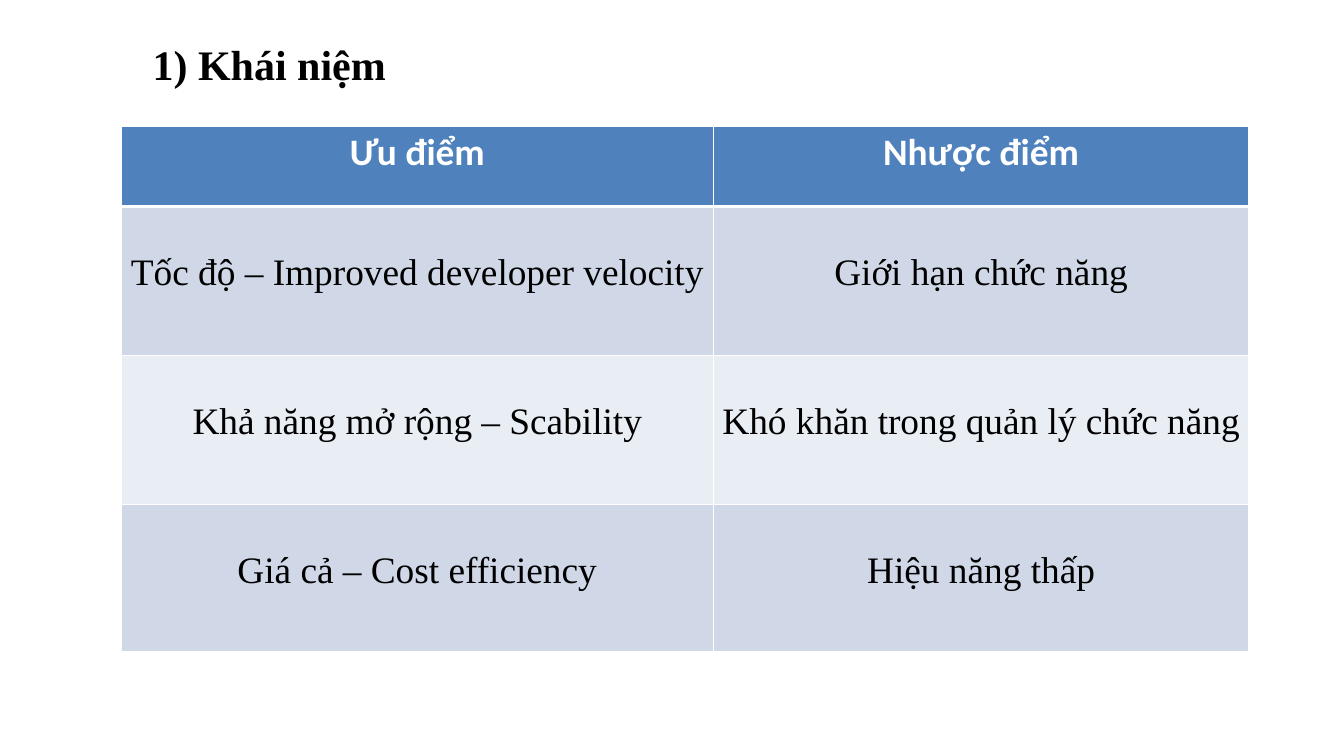
from lxml import etree
from pptx import Presentation
from pptx.dml.color import RGBColor
from pptx.enum.text import MSO_ANCHOR, PP_ALIGN
from pptx.oxml.ns import qn
from pptx.util import Inches, Pt

LEFT, CENTER = PP_ALIGN.LEFT, PP_ALIGN.CENTER
TOP = MSO_ANCHOR.TOP
TITLE_ONLY = 5

COLORS = {
    "header": "4F81BD",
    "odd": "D0D8E8",
    "even": "E9EDF4",
    "white": "FFFFFF",
    "black": "000000",
}
TITLE = "1) Khái niệm"
ROWS = [
    ("Ưu điểm", "Nhược điểm"),
    ("Tốc độ – Improved developer velocity", "Giới hạn chức năng"),
    ("Khả năng mở rộng – Scability", "Khó khăn trong quản lý chức năng"),
    ("Giá cả – Cost efficiency", "Hiệu năng thấp"),
]
COLUMN_WIDTHS = [8.82, 7.96]
ROW_HEIGHTS = [1.19, 2.22, 2.22, 2.19]
BODY_MARGIN_TOP = 0.68


def write_text(frame, text, size=40, font="Times New Roman", color="black",
               bold=False, align=CENTER):
    paragraph = frame.paragraphs[0]
    paragraph.alignment = align
    run = paragraph.add_run()
    run.text = text
    run.font.size = Pt(size)
    run.font.name = font
    run.font.bold = bold
    run.font.color.rgb = RGBColor.from_string(COLORS[color])


def set_borders(cell, widths):
    properties = cell._tc.get_or_add_tcPr()
    for index, (side, width) in enumerate(widths.items()):
        line = etree.Element(qn(f"a:{side}"), w=str(Pt(width)))
        fill = etree.SubElement(line, qn("a:solidFill"))
        etree.SubElement(fill, qn("a:srgbClr"), val=COLORS["white"])
        properties.insert(index, line)


def add_title(slide):
    title = slide.shapes.title
    title.left, title.top = Inches(2.17), Inches(0.52)
    title.width, title.height = Inches(6.17), Inches(0.86)
    title.text_frame.word_wrap = True
    title.text_frame.vertical_anchor = TOP
    write_text(title.text_frame, TITLE, size=45, bold=True, align=LEFT)


def add_comparison(slide):
    table = slide.shapes.add_table(
        len(ROWS), len(COLUMN_WIDTHS), Inches(1.8), Inches(1.88),
        Inches(sum(COLUMN_WIDTHS)), Inches(sum(ROW_HEIGHTS))).table
    for column, width in zip(table.columns, COLUMN_WIDTHS):
        column.width = Inches(width)
    for row, height in zip(table.rows, ROW_HEIGHTS):
        row.height = Inches(height)

    for row_index, texts in enumerate(ROWS):
        header = row_index == 0
        fill = "header" if header else "odd" if row_index % 2 else "even"
        for column_index, text in enumerate(texts):
            cell = table.cell(row_index, column_index)
            cell.fill.solid()
            cell.fill.fore_color.rgb = RGBColor.from_string(COLORS[fill])
            cell.vertical_anchor = TOP
            if header:
                write_text(cell.text_frame, text, font="Calibri", color="white", bold=True)
            else:
                cell.margin_top = Inches(BODY_MARGIN_TOP)
                write_text(cell.text_frame, text)
            set_borders(cell, {"lnL": 1, "lnR": 1,
                               "lnT": 3 if row_index == 1 else 1,
                               "lnB": 3 if header else 1})


def main():
    presentation = Presentation()
    presentation.slide_width = Inches(20)
    presentation.slide_height = Inches(11.25)
    slide = presentation.slides.add_slide(presentation.slide_layouts[TITLE_ONLY])
    add_title(slide)
    add_comparison(slide)
    presentation.save("out.pptx")


if __name__ == "__main__":
    main()
